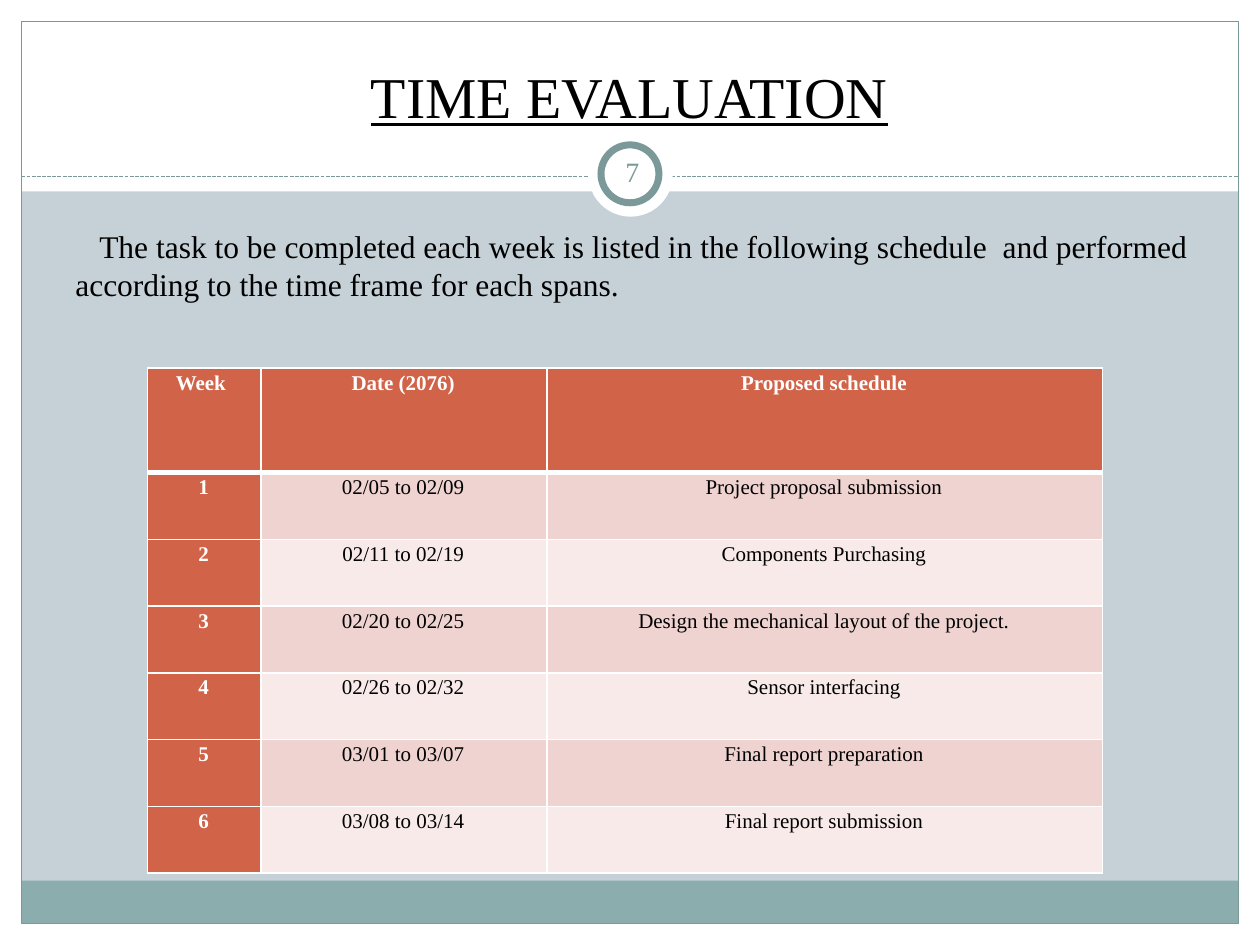
"""Build the time evaluation slide with its weekly schedule table."""
from lxml import etree
from pptx import Presentation
from pptx.dml.color import RGBColor
from pptx.enum.dml import MSO_LINE
from pptx.enum.shapes import MSO_CONNECTOR, MSO_SHAPE
from pptx.enum.text import MSO_ANCHOR, MSO_AUTO_SIZE, PP_ALIGN
from pptx.oxml.ns import qn
from pptx.util import Inches, Pt

RECTANGLE, OVAL = MSO_SHAPE.RECTANGLE, MSO_SHAPE.OVAL
STRAIGHT, DASHED = MSO_CONNECTOR.STRAIGHT, MSO_LINE.SQUARE_DOT
LEFT, CENTER = PP_ALIGN.LEFT, PP_ALIGN.CENTER
TOP, MIDDLE, BOTTOM = MSO_ANCHOR.TOP, MSO_ANCHOR.MIDDLE, MSO_ANCHOR.BOTTOM
NO_AUTOFIT = MSO_AUTO_SIZE.NONE

WHITE = RGBColor(0xFF, 0xFF, 0xFF)
BLACK = RGBColor(0x00, 0x00, 0x00)
BACKDROP = RGBColor(0xC5, 0xD1, 0xD7)
TEAL = RGBColor(0x8C, 0xAD, 0xAE)
DARK_TEAL = RGBColor(0x7C, 0x99, 0x9A)
ORANGE = RGBColor(0xD1, 0x63, 0x49)
ROW_BANDS = (RGBColor(0xEE, 0xD3, 0xD0), RGBColor(0xF7, 0xEA, 0xE9))
FONT = "Times New Roman"

COLUMN_WIDTHS = (0.9, 2.27, 4.41)
HEADER_HEIGHT, ROW_HEIGHT = 0.83, 0.53
SCHEDULE = (
    ("Week ", "Date (2076)", "Proposed schedule"),
    ("1", "02/05 to 02/09", "Project proposal submission"),
    ("2", "02/11 to 02/19", "Components Purchasing"),
    ("3", "02/20 to 02/25", "Design the mechanical layout of the project."),
    ("4", "02/26 to 02/32", "Sensor interfacing"),
    ("5", "03/01 to 03/07", "Final report preparation"),
    ("6", "03/08 to 03/14", "Final report submission"),
)


def add_shape(page, kind, box, fill=None, line=None, line_width=0.75):
    """Add a flat preset shape in a box given in inches."""
    shape = page.shapes.add_shape(kind, *map(Inches, box))
    shape.shadow.inherit = False
    if fill is None:
        shape.fill.background()
    else:
        shape.fill.solid()
        shape.fill.fore_color.rgb = fill
    if line is None:
        shape.line.fill.background()
    else:
        shape.line.color.rgb = line
        shape.line.width = Pt(line_width)


def write(paragraph, text, size, color, align=CENTER, bold=False):
    """Add one formatted run to a paragraph."""
    paragraph.alignment = align
    span = paragraph.add_run()
    span.text = text
    span.font.name = FONT
    span.font.size = Pt(size)
    span.font.color.rgb = color
    span.font.bold = bold
    return span


def add_text_box(page, box, anchor, inset=None):
    """Add a wrapping text box and return its first paragraph."""
    frame = page.shapes.add_textbox(*map(Inches, box)).text_frame
    frame.word_wrap = True
    frame.vertical_anchor = anchor
    if inset is not None:
        frame.margin_left = frame.margin_right = Inches(inset)
        frame.margin_top = frame.margin_bottom = Inches(inset)
    return frame.paragraphs[0]


def draw_frame(page, width, height, margin, header_height):
    """Draw the white margins, footer band, outline and dashed divider."""
    bands = (
        (0, height - margin, width, margin),
        (0, 0, width, header_height),
        (0, 0, margin, height),
        (width - margin, 0, margin, height),
    )
    for band in bands:
        add_shape(page, RECTANGLE, band, WHITE)
    inner_width = width - 2 * margin
    add_shape(page, RECTANGLE, (margin, 6.99, inner_width, 0.34), TEAL)
    add_shape(page, RECTANGLE,
              (margin, margin, inner_width, height - 2 * margin), line=DARK_TEAL)
    divider = page.shapes.add_connector(
        STRAIGHT, Inches(margin), Inches(1.4), Inches(width - margin), Inches(1.4))
    divider.line.color.rgb = DARK_TEAL
    divider.line.width = Pt(0.75)
    divider.line.dash_style = DASHED
    etree.SubElement(divider.element.spPr, qn("a:effectLst"))


def draw_badge(page, left, top, number):
    """Draw the ringed page number."""
    add_shape(page, OVAL, (left, top, 0.67, 0.67), WHITE)
    add_shape(page, OVAL, (left + 0.1, top + 0.1, 0.46, 0.46), WHITE, DARK_TEAL, 4)
    paragraph = add_text_box(page, (left + 0.1, top + 0.07, 0.5, 0.48), MIDDLE, 0.05)
    write(paragraph, number, 16, DARK_TEAL)


def place_title(page, box, text):
    """Place the underlined title in front of the header band."""
    title = page.shapes.title
    title.left, title.top, title.width, title.height = map(Inches, box)
    frame = title.text_frame
    frame.auto_size = NO_AUTOFIT
    frame.vertical_anchor = BOTTOM
    write(frame.paragraphs[0], text, 33, BLACK).font.underline = True
    title.element.getparent().append(title.element)


def set_borders(cell, bottom_width):
    """Give a cell white borders with the given bottom width in points."""
    properties = cell._tc.get_or_add_tcPr()
    widths = {"a:lnL": 1, "a:lnR": 1, "a:lnT": 1, "a:lnB": bottom_width}
    for position, (tag, width) in enumerate(widths.items()):
        border = etree.Element(qn(tag), w=str(Pt(width)))
        fill = etree.SubElement(border, qn("a:solidFill"))
        etree.SubElement(fill, qn("a:srgbClr"), val=str(WHITE))
        properties.insert(position, border)


def draw_schedule(page, left, top):
    """Draw the schedule table with its header row and week column."""
    heights = [HEADER_HEIGHT] + [ROW_HEIGHT] * (len(SCHEDULE) - 1)
    table = page.shapes.add_table(
        len(SCHEDULE), len(COLUMN_WIDTHS), Inches(left), Inches(top),
        Inches(sum(COLUMN_WIDTHS)), Inches(sum(heights))).table
    for column, width in zip(table.columns, COLUMN_WIDTHS):
        column.width = Inches(width)
    for row_index, (values, height) in enumerate(zip(SCHEDULE, heights)):
        table.rows[row_index].height = Inches(height)
        for column_index, value in enumerate(values):
            cell = table.cell(row_index, column_index)
            heading = row_index == 0 or column_index == 0
            cell.fill.solid()
            cell.fill.fore_color.rgb = ORANGE if heading else ROW_BANDS[(row_index - 1) % 2]
            cell.margin_left, cell.margin_right = Inches(0.06), Inches(0.07)
            cell.margin_top = cell.margin_bottom = 0
            set_borders(cell, 3 if row_index == 0 else 1)
            paragraph = cell.text_frame.paragraphs[0]
            paragraph.line_spacing = 1.15
            write(paragraph, value, 12, WHITE if heading else BLACK, bold=heading)


def draw_introduction(page, box, text):
    """Place the introduction with an indented first line."""
    paragraph = add_text_box(page, box, TOP)
    paragraph._p.get_or_add_pPr().set("indent", str(Inches(0.19)))
    write(paragraph, text, 18, BLACK, LEFT)


def build():
    """Build and save the deck."""
    deck = Presentation()
    deck.slide_width, deck.slide_height = Inches(10), Inches(7.5)
    page = deck.slides.add_slide(deck.slide_layouts[5])
    page.background.fill.solid()
    page.background.fill.fore_color.rgb = BACKDROP
    draw_frame(page, 10, 7.5, 0.17, 1.52)
    draw_badge(page, 4.67, 1.05, "7")
    place_title(page, (0.33, 0.25, 9.33, 0.83), "TIME EVALUATION")
    draw_schedule(page, 1.17, 2.92)
    draw_introduction(
        page, (0.5, 1.75, 9.33, 1.01),
        "The task to be completed each week is listed in the following schedule  "
        "and performed according to the time frame for each spans.")
    deck.save("out.pptx")


build()
